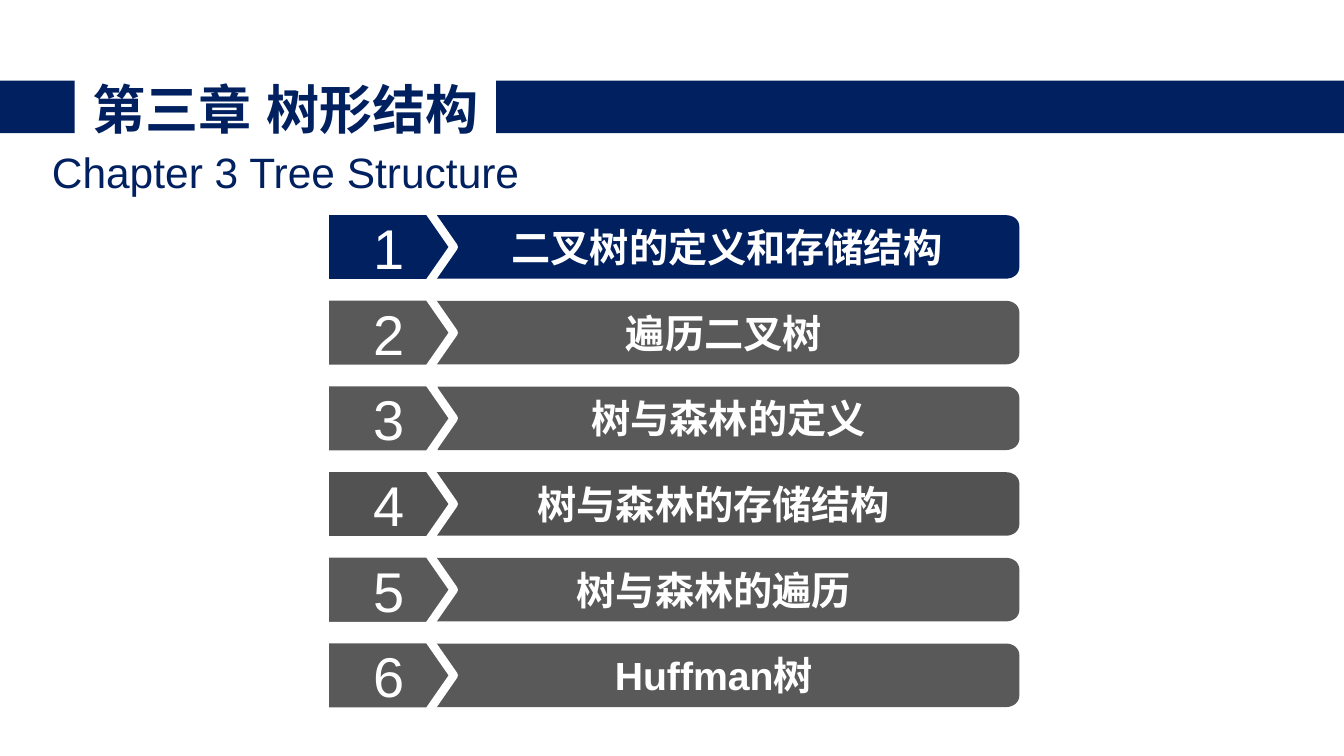
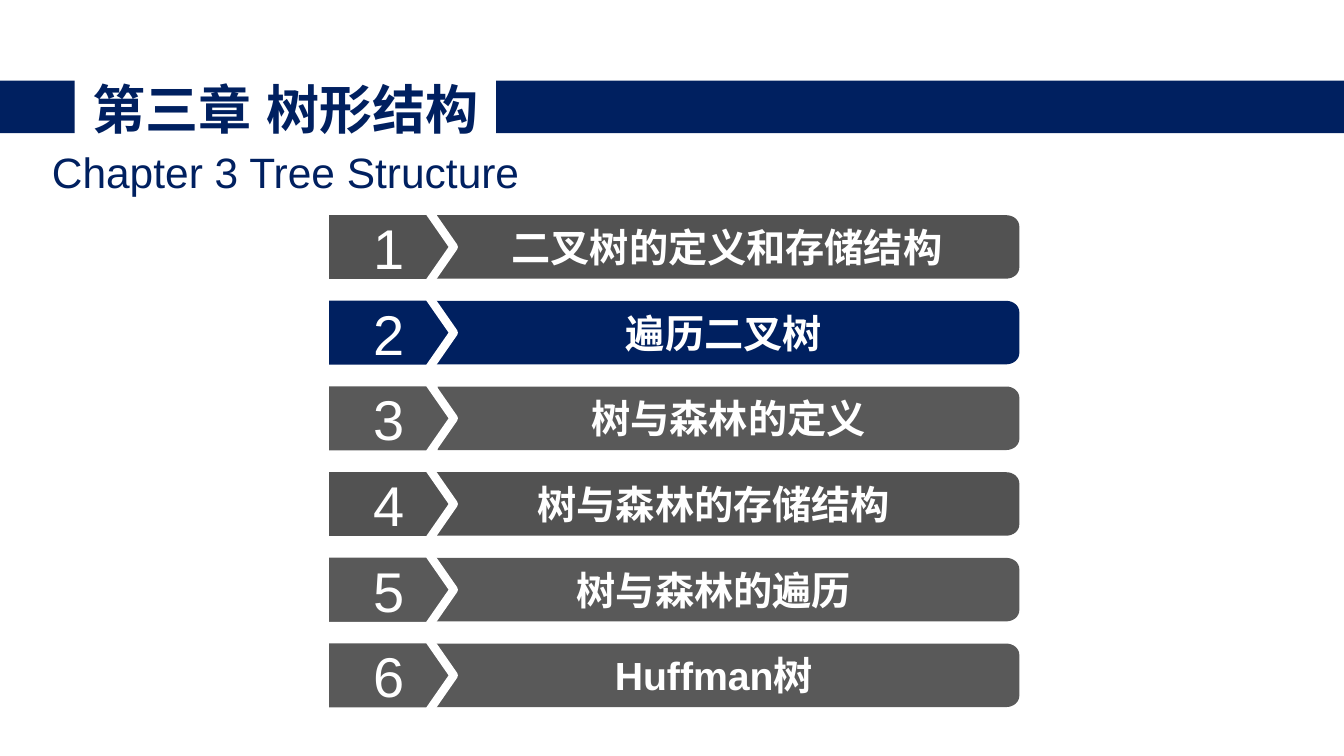
"""Builds the agenda slides of the tree structure chapter, one per highlighted section."""
from dataclasses import dataclass
from math import cos, pi, sin

from lxml.etree import SubElement
from pptx import Presentation
from pptx.dml.color import RGBColor
from pptx.enum.lang import MSO_LANGUAGE_ID as Lang
from pptx.enum.shapes import MSO_SHAPE as Shape
from pptx.enum.text import MSO_ANCHOR as Anchor, PP_ALIGN as Align
from pptx.oxml.ns import qn
from pptx.util import Inches, Pt


@dataclass(frozen=True)
class Theme:
    font: str = "Arial"
    navy: str = "002060"
    gray: str = "595959"
    dark_gray: str = "525252"
    white: str = "FFFFFF"
    title: float = 37.9
    subtitle: float = 30.3
    number: float = 40
    section: float = 28
    outline: float = 6


THEME = Theme()
WIDTH, HEIGHT = 13.33, 7.5
TITLE = "第三章 树形结构"
SUBTITLE = "Chapter 3 Tree Structure"
BAND_TOP, BAND_HEIGHT = 0.8, 0.52
BANDS = [(0, 0.74), (4.92, WIDTH)]

# name, left edge of the bar, left inset, resting colour
SECTIONS = [
    ("二叉树的定义和存储结构", 4.31, 0, THEME.dark_gray),
    ("遍历二叉树", 4.05, 0.2, THEME.gray),
    ("树与森林的定义", 4.34, 0, THEME.gray),
    ("树与森林的存储结构", 4.05, 0, THEME.dark_gray),
    ("树与森林的遍历", 4.05, 0, THEME.gray),
    ("Huffman树", 4.05, 0, THEME.gray),
]
HIGHLIGHTS = [0, 1]
FIRST_ROW, ROW_STEP = 2.45, 0.85
BAR_RIGHT, BAR_HEIGHT = 10.11, 0.63
CORNER_X, CORNER_Y, CORNER_STEPS = 0.13, 0.11, 8
TAG_LEFT, TAG_WIDTH, TAG_HEIGHT, TAG_TIP = 3.22, 1.28, 0.72, 0.25


def paint(s, fill, line=None):
    s.shadow.inherit = False
    s.fill.solid()
    s.fill.fore_color.rgb = RGBColor.from_string(fill)
    if line:
        s.line.color.rgb = RGBColor.from_string(line)
        s.line.width = Pt(THEME.outline)
    else:
        s.line.fill.background()


def write(s, text, size, color, bold=False, inset=0, anchor=Anchor.MIDDLE):
    tf = s.text_frame
    tf.text = text
    tf.word_wrap = True
    tf.vertical_anchor = anchor
    tf.margin_left = Inches(inset)
    tf.margin_right = tf.margin_top = tf.margin_bottom = 0
    p = tf.paragraphs[0]
    p.alignment = Align.CENTER
    r = p.runs[0]
    r.font.size, r.font.bold, r.font.name = Pt(size), bold, THEME.font
    r.font.color.rgb = RGBColor.from_string(color)
    r.font.language_id = Lang.SIMPLIFIED_CHINESE
    SubElement(r.font._element, qn("a:ea"), typeface=THEME.font)


def add_header(slide):
    for left, right in BANDS:
        band = slide.shapes.add_shape(Shape.RECTANGLE, Inches(left), Inches(BAND_TOP),
                                      Inches(right - left), Inches(BAND_HEIGHT))
        paint(band, THEME.navy)
    title = slide.shapes.add_textbox(Inches(0.83), Inches(0.75), Inches(4.01), Inches(0.64))
    write(title, TITLE, THEME.title, THEME.navy, bold=True)
    subtitle = slide.shapes.add_textbox(Inches(0.2), Inches(1.45), Inches(5.27), Inches(0.51))
    write(subtitle, SUBTITLE, THEME.subtitle, THEME.navy, anchor=Anchor.TOP)


def bar_outline(left, middle):
    top, bottom = middle - BAR_HEIGHT / 2, middle + BAR_HEIGHT / 2
    angles = [pi / 2 * i / CORNER_STEPS for i in range(CORNER_STEPS + 1)]
    arc = [(BAR_RIGHT - CORNER_X * (1 - sin(a)), CORNER_Y * (1 - cos(a))) for a in angles]
    upper = [(x, top + drop) for x, drop in arc]
    lower = [(x, bottom - drop) for x, drop in reversed(arc)]
    return [(left, top), *upper, *lower, (left, bottom)]


def add_section(slide, number, name, left, inset, color):
    middle = FIRST_ROW + (number - 1) * ROW_STEP
    start, *rest = [(Inches(x), Inches(y)) for x, y in bar_outline(left, middle)]
    builder = slide.shapes.build_freeform(*start)
    builder.add_line_segments(rest, close=True)
    bar = builder.convert_to_shape()
    paint(bar, color)
    write(bar, name, THEME.section, THEME.white, bold=True, inset=inset)

    tag = slide.shapes.add_shape(Shape.PENTAGON, Inches(TAG_LEFT), Inches(middle - TAG_HEIGHT / 2),
                                 Inches(TAG_WIDTH), Inches(TAG_HEIGHT))
    tag.adjustments[0] = TAG_TIP / TAG_HEIGHT
    paint(tag, color, THEME.white)
    write(tag, str(number), THEME.number, THEME.white, inset=TAG_TIP / 2)


def main():
    prs = Presentation()
    prs.slide_width, prs.slide_height = Inches(WIDTH), Inches(HEIGHT)
    for highlight in HIGHLIGHTS:
        slide = prs.slides.add_slide(prs.slide_layouts[6])
        add_header(slide)
        for i, (name, left, inset, color) in enumerate(SECTIONS):
            add_section(slide, i + 1, name, left, inset, THEME.navy if i == highlight else color)
    prs.save("out.pptx")


if __name__ == "__main__":
    main()
